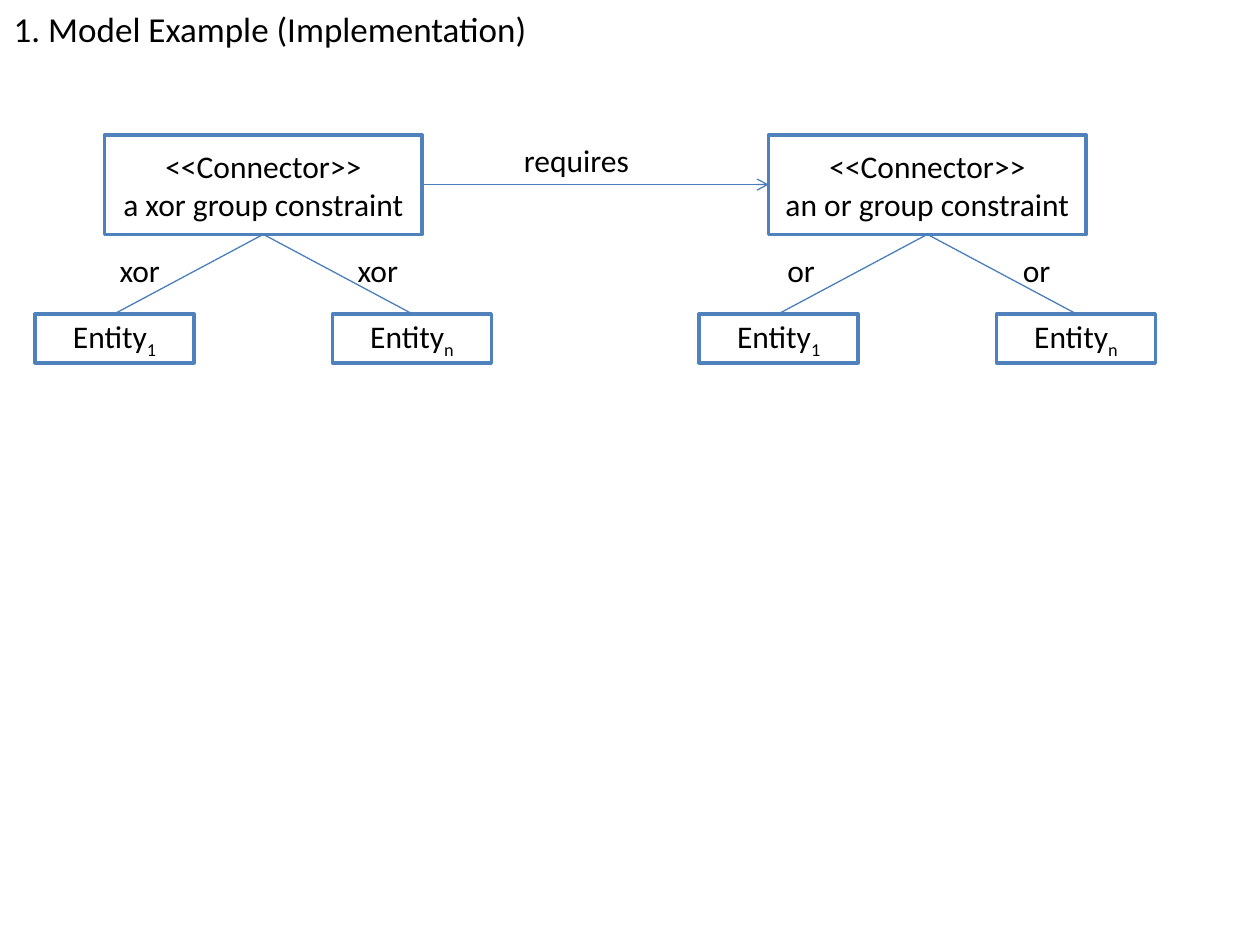
from lxml import etree
from pptx import Presentation
from pptx.dml.color import RGBColor
from pptx.enum.shapes import MSO_CONNECTOR, MSO_SHAPE
from pptx.enum.text import MSO_ANCHOR, MSO_AUTO_SIZE, PP_ALIGN
from pptx.oxml.ns import qn
from pptx.util import Inches, Pt

RECTANGLE = MSO_SHAPE.RECTANGLE
STRAIGHT = MSO_CONNECTOR.STRAIGHT
CENTER, LEFT = PP_ALIGN.CENTER, PP_ALIGN.LEFT
MIDDLE, TOP = MSO_ANCHOR.MIDDLE, MSO_ANCHOR.TOP
NO_FIT, GROW = MSO_AUTO_SIZE.NONE, MSO_AUTO_SIZE.SHAPE_TO_FIT_TEXT
TOP_SIDE, LEFT_SIDE, BOTTOM_SIDE, RIGHT_SIDE = range(4)
COLUMNS, ROWS = 100, 75
TITLE_ONLY = 5


def color(hex_value):
    return RGBColor.from_string(hex_value)


class Diagram:
    """Draws styled elements on one slide, placed by grid columns and rows."""

    ink, paper, border, link = "000000", "FFFFFF", "4F81BD", "4B7EBC"
    font_name, title_size, body_size = "Calibri", 20, 18

    def __init__(self, presentation):
        self.column = presentation.slide_width / COLUMNS
        self.row = presentation.slide_height / ROWS
        self.slide = presentation.slides.add_slide(presentation.slide_layouts[TITLE_ONLY])
        self.shapes = self.slide.shapes

    def place(self, left, top, width, height):
        return [round(value * unit) for value, unit in
                zip((left, top, width, height), (self.column, self.row) * 2)]

    def set_text(self, frame, lines, size, align, **frame_format):
        for name, value in frame_format.items():
            setattr(frame, name, value)
        font_format = {"name": self.font_name, "size": Pt(size)}
        for index, line in enumerate(lines):
            paragraph = frame.add_paragraph() if index else frame.paragraphs[0]
            paragraph.alignment = align
            for part, wording in enumerate(line):
                run = paragraph.add_run()
                run.text = wording
                for name, value in font_format.items():
                    setattr(run.font, name, value)
                run.font.color.rgb = color(self.ink)
                if part:
                    run._r.get_or_add_rPr().set("baseline", "-25000")

    def title(self, wording, area):
        heading = self.shapes.title
        bounds = zip(("left", "top", "width", "height"), self.place(*area))
        for name, value in bounds:
            setattr(heading, name, value)
        self.set_text(heading.text_frame, [[wording]], self.title_size, CENTER,
                      word_wrap=False, auto_size=NO_FIT, vertical_anchor=MIDDLE)

    def box(self, lines, area):
        node = self.shapes.add_shape(RECTANGLE, *self.place(*area))
        node.shadow.inherit = False
        node.fill.solid()
        node.fill.fore_color.rgb = color(self.paper)
        node.line.color.rgb = color(self.border)
        node.line.width = Pt(2)
        self.set_text(node.text_frame, lines, self.body_size, CENTER,
                      word_wrap=True, vertical_anchor=MIDDLE)
        return node

    def label(self, wording, area):
        caption = self.shapes.add_textbox(*self.place(*area))
        self.set_text(caption.text_frame, [[wording]], self.body_size, LEFT,
                      word_wrap=False, auto_size=GROW, vertical_anchor=TOP)

    def connect(self, source, source_side, target, target_side, arrow=False):
        edge = self.shapes.add_connector(STRAIGHT, 0, 0, 0, 0)
        edge.begin_connect(source, source_side)
        edge.end_connect(target, target_side)
        edge.line.color.rgb = color(self.link)
        edge.line.width = Pt(0.75)
        if arrow:
            outline = edge._element.spPr.find(qn("a:ln"))
            etree.SubElement(outline, qn("a:tailEnd"), type="arrow")
        etree.SubElement(edge._element.spPr, qn("a:effectLst"))

    def group(self, left, constraint, relation, label_width, label_offsets):
        connector = self.box([["<<Connector>>"], [constraint]], (left, 10.7, 25.2, 7.9))
        for subscript, offset in (("1", -5.5), ("n", 18.1)):
            entity = self.box([["Entity", subscript]], (left + offset, 24.9, 12.6, 3.9))
            self.connect(connector, BOTTOM_SIDE, entity, TOP_SIDE)
        for offset in label_offsets:
            self.label(relation, (left + offset, 19.4, label_width, 4))
        return connector


def main():
    presentation = Presentation()
    presentation.slide_width, presentation.slide_height = Inches(10), Inches(7.5)
    diagram = Diagram(presentation)
    diagram.title("1. Model Example (Implementation)", (0, 0, 42.9, 4.6))
    xor_group = diagram.group(8.3, "a xor group constraint", "xor", 5.2, (0.2, 19.1))
    diagram.label("requires", (40.6, 10.7, 10.5, 4))
    or_group = diagram.group(61, "an or group constraint", "or", 4.2, (0.5, 19.2))
    diagram.connect(xor_group, RIGHT_SIDE, or_group, LEFT_SIDE, arrow=True)
    presentation.save("out.pptx")


if __name__ == "__main__":
    main()
